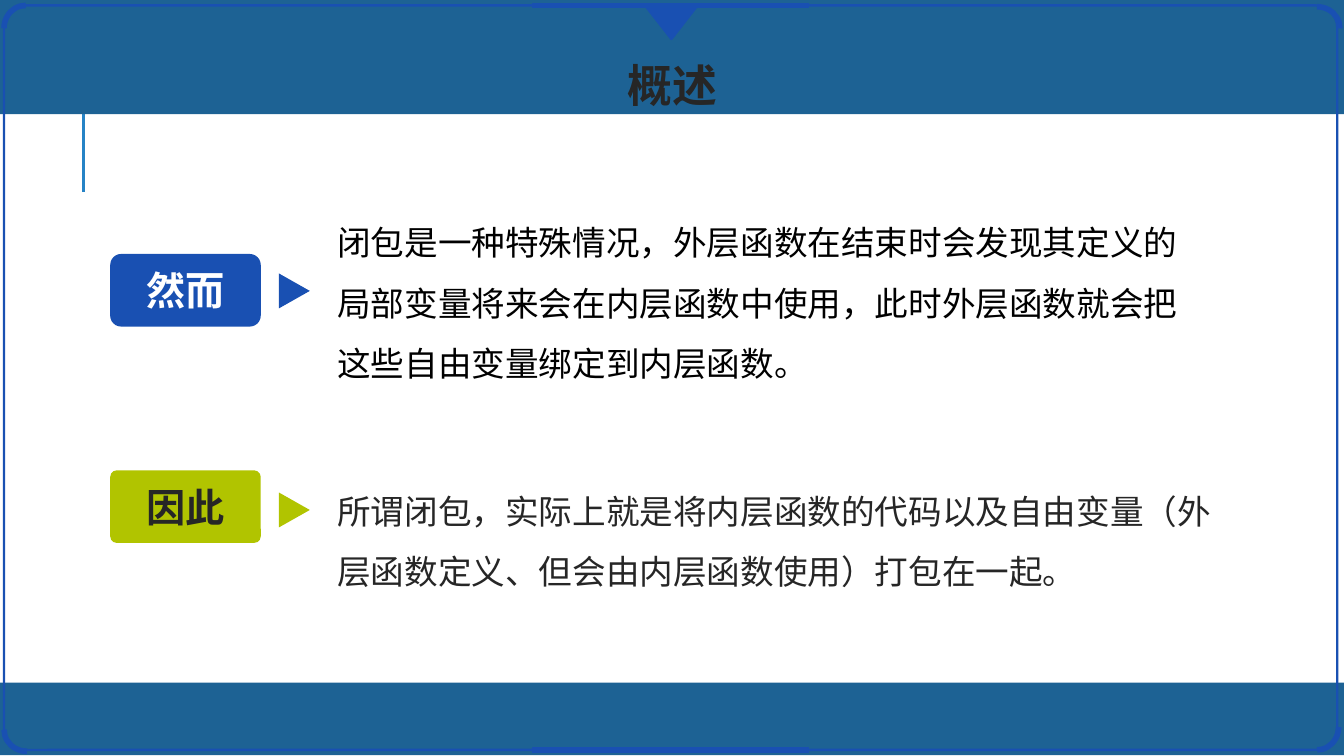
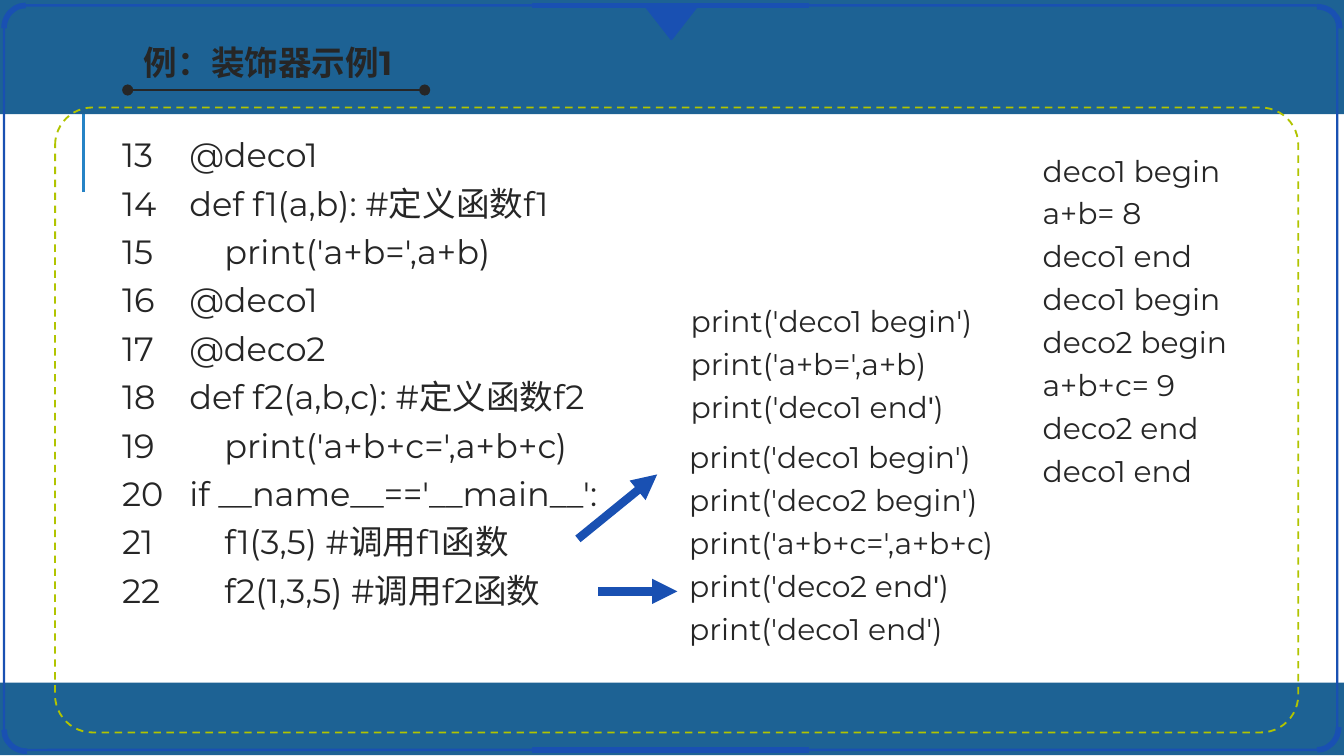
from dataclasses import dataclass

from lxml import etree
from pptx import Presentation
from pptx.dml.color import RGBColor
from pptx.enum.dml import MSO_LINE
from pptx.enum.shapes import MSO_CONNECTOR, MSO_SHAPE
from pptx.enum.text import MSO_ANCHOR, MSO_AUTO_SIZE, PP_ALIGN
from pptx.oxml.ns import qn
from pptx.util import Inches, Pt

RECTANGLE, ROUNDED = MSO_SHAPE.RECTANGLE, MSO_SHAPE.ROUNDED_RECTANGLE
ARC, TRIANGLE = MSO_SHAPE.ARC, MSO_SHAPE.ISOSCELES_TRIANGLE
STRAIGHT, DASH = MSO_CONNECTOR.STRAIGHT, MSO_LINE.DASH
TOP, MIDDLE = MSO_ANCHOR.TOP, MSO_ANCHOR.MIDDLE
LEFT, CENTER = PP_ALIGN.LEFT, PP_ALIGN.CENTER
NO_AUTOFIT = MSO_AUTO_SIZE.NONE


@dataclass(frozen=True)
class Theme:
    band: str = "1D6294"
    blue: str = "1950B2"
    accent: str = "2683C6"
    green: str = "B1C400"
    ink: str = "262626"
    black: str = "000000"
    white: str = "FFFFFF"
    chinese: str = "Noto Sans CJK SC"
    latin: str = "Montserrat"
    label_font: str = "Arial Narrow"
    quote_font: str = "Arial"
    heading: int = 24
    label: int = 21
    body: int = 18
    small: int = 16


THEME = Theme()
TIGHT = (0.07, 0.04)
LOOSE = (0.1, 0.05)

OVERVIEW_TITLE = "概述"
POINTS = [
    dict(label="然而", fill=THEME.blue, label_color=THEME.white, corner=0.15,
         label_top=1.89, arrow_top=2.05, box=(2.44, 1.46, 6.53, 1.44), color=THEME.black,
         text="闭包是一种特殊情况，外层函数在结束时会发现其定义的局部变量将来会在内层函数中使用，"
              "此时外层函数就会把这些自由变量绑定到内层函数。"),
    dict(label="因此", fill=THEME.green, label_color=THEME.ink, corner=0.09,
         label_top=3.5, arrow_top=3.68, box=(2.44, 3.46, 6.77, 0.98), color=THEME.ink,
         text="所谓闭包，实际上就是将内层函数的代码以及自由变量"
              "（外层函数定义、但会由内层函数使用）打包在一起。"),
]

EXAMPLE_TITLE = "例：装饰器示例1"
FIRST_LINE = 13
CODE = [
    "@deco1",
    "def f1(a,b): #定义函数f1",
    "    print('a+b=',a+b)",
    "@deco1",
    "@deco2",
    "def f2(a,b,c): #定义函数f2",
    "    print('a+b+c=',a+b+c)",
    "if __name__=='__main__':",
    "    f1(3,5) #调用f1函数",
    "    f2(1,3,5) #调用f2函数",
]
F2_EXPANSION = [
    "print('deco1 begin')",
    "print('deco2 begin')",
    "print('a+b+c=',a+b+c)",
    ("print('deco2 end", "'", ")"),
    "print('deco1 end')",
]
F1_EXPANSION = [
    "print('deco1 begin')",
    "print('a+b=',a+b)",
    ("print('deco1 end", "'", ")"),
]
OUTPUT = ["deco1 begin", "a+b= 8", "deco1 end", "deco1 begin",
          "deco2 begin", "a+b+c= 9", "deco2 end", "deco1 end"]
SMALL_BLOCKS = [
    ((5.03, 3.16, 2.48, 2.04), F2_EXPANSION),
    ((5.04, 2.15, 2.48, 1.07), F1_EXPANSION),
    ((7.66, 1.03, 1.84, 2.69), OUTPUT),
]
CALL_ARROWS = [((4.45, 4.4), (5.04, 4.4)), ((4.3, 4.01), (4.89, 3.53))]


def rgb(color):
    return RGBColor.from_string(color)


def add_shape(slide, kind, box, fill=None, line=None, width=1.25, rotation=0, corner=None):
    shape = slide.shapes.add_shape(kind, *map(Inches, box))
    shape.shadow.inherit = False
    shape.rotation = rotation
    if corner is not None:
        shape.adjustments[0] = corner
    if fill:
        shape.fill.solid()
        shape.fill.fore_color.rgb = rgb(fill)
    else:
        shape.fill.background()
    if line:
        shape.line.color.rgb = rgb(line)
        shape.line.width = Pt(width)
    else:
        shape.line.fill.background()
    return shape


def add_line(slide, start, end, color, width, head=None, tail=None):
    connector = slide.shapes.add_connector(STRAIGHT, *map(Inches, (*start, *end)))
    connector.line.color.rgb = rgb(color)
    connector.line.width = Pt(width)
    properties = connector._element.spPr
    for tag, kind in (("a:headEnd", head), ("a:tailEnd", tail)):
        if kind:
            etree.SubElement(properties.find(qn("a:ln")), qn(tag), type=kind)
    etree.SubElement(properties, qn("a:effectLst"))


def write(frame, rows, size, color=THEME.ink, font=THEME.latin, bold=False, spacing=1.0,
          align=LEFT, anchor=TOP, insets=LOOSE, wrap=True, tab=None):
    frame.auto_size = NO_AUTOFIT
    frame.word_wrap = wrap
    frame.vertical_anchor = anchor
    frame.margin_left = frame.margin_right = Inches(insets[0])
    frame.margin_top = frame.margin_bottom = Inches(insets[1])
    for index, row in enumerate(rows):
        paragraph = frame.add_paragraph() if index else frame.paragraphs[0]
        paragraph.alignment = align
        paragraph.line_spacing = spacing
        properties = paragraph._p.get_or_add_pPr()
        if tab:
            tabs = etree.SubElement(properties, qn("a:tabLst"))
            etree.SubElement(tabs, qn("a:tab"), pos=str(Inches(tab)), algn="l")
        paragraph.font.size = Pt(size)
        paragraph.font.bold = bold
        paragraph.font.color.rgb = rgb(color)
        paragraph.font.name = font
        etree.SubElement(properties.find(qn("a:defRPr")), qn("a:ea"), typeface=THEME.chinese)
        for part in (row,) if isinstance(row, str) else row:
            run = paragraph.add_run()
            run.text = part
            if part == "'":
                run.font.name = THEME.quote_font


def add_text(slide, box, rows, size, **style):
    write(slide.shapes.add_textbox(*map(Inches, box)).text_frame, rows, size, **style)


def set_title(slide, box, text, size, font):
    title = slide.shapes.title
    title.left, title.top, title.width, title.height = map(Inches, box)
    write(title.text_frame, [text], size, font=font, bold=True, align=CENTER,
          insets=TIGHT, wrap=False)


def draw_frame(slide):
    add_line(slide, (0.62, 1.43), (0.62, 0.68), THEME.accent, 1.5)
    for top, height in ((5.08, 0.54), (-0.03, 0.88)):
        add_shape(slide, RECTANGLE, (0, top, 10, height), fill=THEME.band)
    add_shape(slide, ROUNDED, (0.03, 0.04, 9.92, 5.54), line=THEME.blue, corner=0.03)
    for left, top, rotation in ((0.02, 0.05, 270), (0.03, 5.27, 180),
                                (9.63, 0.05, 0), (9.63, 5.25, 90)):
        add_shape(slide, ARC, (left, top, 0.34, 0.32), line=THEME.blue, width=3,
                  rotation=rotation)
    for y in (0.04, 5.58):
        add_line(slide, (3.96, y), (6.02, y), THEME.blue, 3)
    add_shape(slide, TRIANGLE, (4.8, 0.04, 0.39, 0.25), fill=THEME.blue, line=THEME.blue,
              rotation=180)


def move_to_layout(slide):
    tree = slide.slide_layout.shapes._spTree
    drawn = [shape for shape in slide.shapes if not shape.is_placeholder]
    for number, shape in enumerate(drawn, 100):
        shape._element.xpath(".//p:cNvPr")[0].set("id", str(number))
        tree.append(shape._element)


def build_overview(slide):
    set_title(slide, (4.59, 0.39, 0.82, 0.48), OVERVIEW_TITLE, THEME.heading, THEME.chinese)
    for point in POINTS:
        add_text(slide, point["box"], [point["text"]], THEME.body, color=point["color"],
                 font=THEME.chinese, spacing=1.5, anchor=MIDDLE, insets=TIGHT)
        label = add_shape(slide, ROUNDED, (0.82, point["label_top"], 1.12, 0.54),
                          fill=point["fill"], corner=point["corner"])
        write(label.text_frame, [point["label"]], THEME.label, color=point["label_color"],
              font=THEME.label_font, bold=True, align=CENTER, anchor=MIDDLE)
        add_shape(slide, TRIANGLE, (2.06, point["arrow_top"], 0.26, 0.23),
                  fill=point["fill"], rotation=90)


def build_example(slide):
    set_title(slide, (0.96, 0.27, 2.07, 0.38), EXAMPLE_TITLE, THEME.body, THEME.latin)
    add_line(slide, (0.95, 0.67), (3.16, 0.67), THEME.ink, 1.5, head="oval", tail="oval")
    border = add_shape(slide, ROUNDED, (0.41, 0.8, 9.25, 4.65), line=THEME.green, width=1,
                       corner=0.06)
    border.line.dash_style = DASH
    numbered = [f"{number}\t{code}" for number, code in enumerate(CODE, FIRST_LINE)]
    add_text(slide, (0.81, 0.89, 3.98, 3.74), numbered, THEME.body, spacing=1.2, tab=0.5)
    for box, rows in SMALL_BLOCKS:
        add_text(slide, box, rows, THEME.small, spacing=1.2)
    for start, end in CALL_ARROWS:
        add_line(slide, start, end, THEME.blue, 4.5, tail="triangle")


def main():
    presentation = Presentation()
    presentation.slide_width = Inches(10)
    presentation.slide_height = presentation.slide_width * 9 // 16
    layout = presentation.slide_layouts[5]
    overview = presentation.slides.add_slide(layout)
    draw_frame(overview)
    move_to_layout(overview)
    build_overview(overview)
    build_example(presentation.slides.add_slide(layout))
    presentation.save("out.pptx")


if __name__ == "__main__":
    main()
